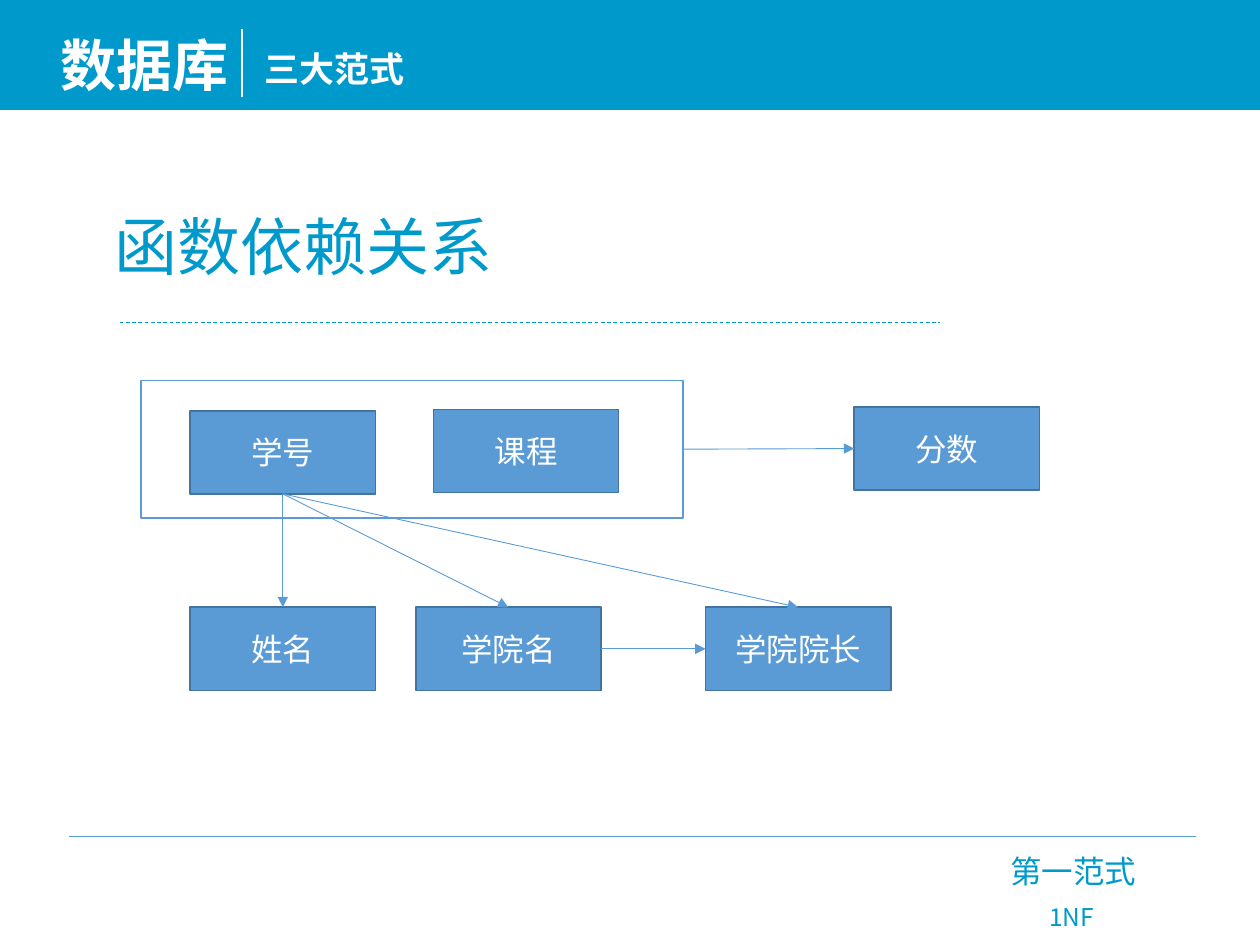
from lxml import etree
from pptx import Presentation
from pptx.dml.color import RGBColor
from pptx.enum import dml, shapes, text
from pptx.oxml import ns
from pptx.util import Inches, Pt

COLORS = {"brand": "0099CC", "white": "FFFFFF", "node": "5B9BD5", "border": "43739E"}
COLORS = {name: RGBColor.from_string(value) for name, value in COLORS.items()}
CJK = "Noto Sans CJK SC"
TOP, LEFT, BOTTOM, RIGHT = range(4)


def write(box, words, font, frame_format):
    frame = box.text_frame
    for name, value in frame_format.items():
        setattr(frame, name, value)
    para = frame.paragraphs[0]
    span = para.add_run()
    span.text = words
    color = font.pop("color")
    for name, value in font.items():
        setattr(span.font, name, value)
    span.font.color.rgb = COLORS[color]
    east_asian = etree.SubElement(span.font._element, ns.qn("a:ea"))
    east_asian.set("typeface", CJK)
    return para


def draw_line(parent, start, end, color, width):
    line = parent.shapes.add_connector(
        shapes.MSO_CONNECTOR.STRAIGHT, *(Inches(value) for value in start + end)
    )
    line.line.color.rgb = COLORS[color]
    line.line.width = Pt(width)
    etree.SubElement(line._element.spPr, ns.qn("a:effectLst"))
    return line


deck = Presentation()
deck.slide_width, deck.slide_height = Inches(10), Inches(7.5)
page = deck.slides.add_slide(deck.slide_layouts[5])

banner = page.shapes.add_shape(
    shapes.MSO_SHAPE.ROUNDED_RECTANGLE, Inches(0), Inches(0.01), Inches(10), Inches(0.86)
)
banner.adjustments[0] = 0
banner.shadow.inherit = False
banner.fill.solid()
banner.fill.fore_color.rgb = COLORS["brand"]
banner.line.color.rgb = COLORS["brand"]
banner.line.width = Pt(1)

title = page.shapes.title
title.left, title.top, title.width, title.height = map(Inches, (0.81, 1.6, 3.23, 0.71))
title_format = {
    "word_wrap": False,
    "auto_size": text.MSO_AUTO_SIZE.NONE,
    "vertical_anchor": text.MSO_ANCHOR.TOP,
}
title_font = {"size": Pt(36), "name": CJK, "color": "brand"}
write(title, "函数依赖关系", title_font, title_format).alignment = text.PP_ALIGN.LEFT

labels = [
    ("数据库", (0.38, 0.19, 1.63, 0.64), 32, "white", True),
    ("三大范式", (2, 0.33, 2.23, 0.44), 20, "white", True),
    ("第一范式", (7.92, 6.71, 1.21, 0.4), 18, "brand", False),
    ("1NF", (8.23, 7.11, 0.58, 0.34), 14, "brand", False),
]
for words, place, size, color, in_banner in labels:
    box = page.shapes.add_textbox(*map(Inches, place))
    font = {"size": Pt(size), "name": CJK, "bold": in_banner, "color": color}
    write(box, words, font, {"word_wrap": in_banner})

draw_line(page, (1.92, 0.23), (1.92, 0.77), "white", 1)
title_rule = draw_line(page, (0.95, 2.56), (7.46, 2.56), "brand", 0.5)
title_rule.line.dash_style = dml.MSO_LINE.DASH
draw_line(page, (0.55, 6.64), (9.49, 6.64), "node", 0.5)

diagram = page.shapes.add_group_shape()
key = diagram.shapes.add_shape(
    shapes.MSO_SHAPE.RECTANGLE, Inches(1.12), Inches(3.02), Inches(4.3), Inches(1.09)
)
key.shadow.inherit = False
key.fill.solid()
key.fill.fore_color.rgb = COLORS["white"]
key.line.color.rgb = COLORS["node"]
key.line.width = Pt(1)

nodes = {"主键": key}
positions = {
    "学号": (1.51, 3.26),
    "课程": (3.44, 3.25),
    "分数": (6.78, 3.23),
    "姓名": (1.51, 4.82),
    "学院名": (3.3, 4.82),
    "学院院长": (5.6, 4.82),
}
for words, (left, top) in positions.items():
    node = diagram.shapes.add_shape(
        shapes.MSO_SHAPE.RECTANGLE, Inches(left), Inches(top), Inches(1.47), Inches(0.66)
    )
    node.shadow.inherit = False
    node.fill.solid()
    node.fill.fore_color.rgb = COLORS["node"]
    node.line.color.rgb = COLORS["border"]
    node.line.width = Pt(1)
    font = {"size": Pt(18), "name": "Calibri", "color": "white"}
    para = write(node, words, font, {"vertical_anchor": text.MSO_ANCHOR.MIDDLE})
    para.alignment = text.PP_ALIGN.CENTER
    nodes[words] = node

dependencies = [
    ("主键", RIGHT, "分数", LEFT),
    ("学号", BOTTOM, "姓名", TOP),
    ("学号", BOTTOM, "学院名", TOP),
    ("学号", BOTTOM, "学院院长", TOP),
    ("学院名", RIGHT, "学院院长", LEFT),
]
for source, source_side, target, target_side in dependencies:
    arrow = draw_line(diagram, (0, 0), (0, 0), "node", 0.5)
    arrow.begin_connect(nodes[source], source_side)
    arrow.end_connect(nodes[target], target_side)
    head = etree.SubElement(arrow.line._get_or_add_ln(), ns.qn("a:tailEnd"))
    head.set("type", "triangle")

group_frame = diagram._element
group_frame.recalculate_extents()

deck.save("out.pptx")
